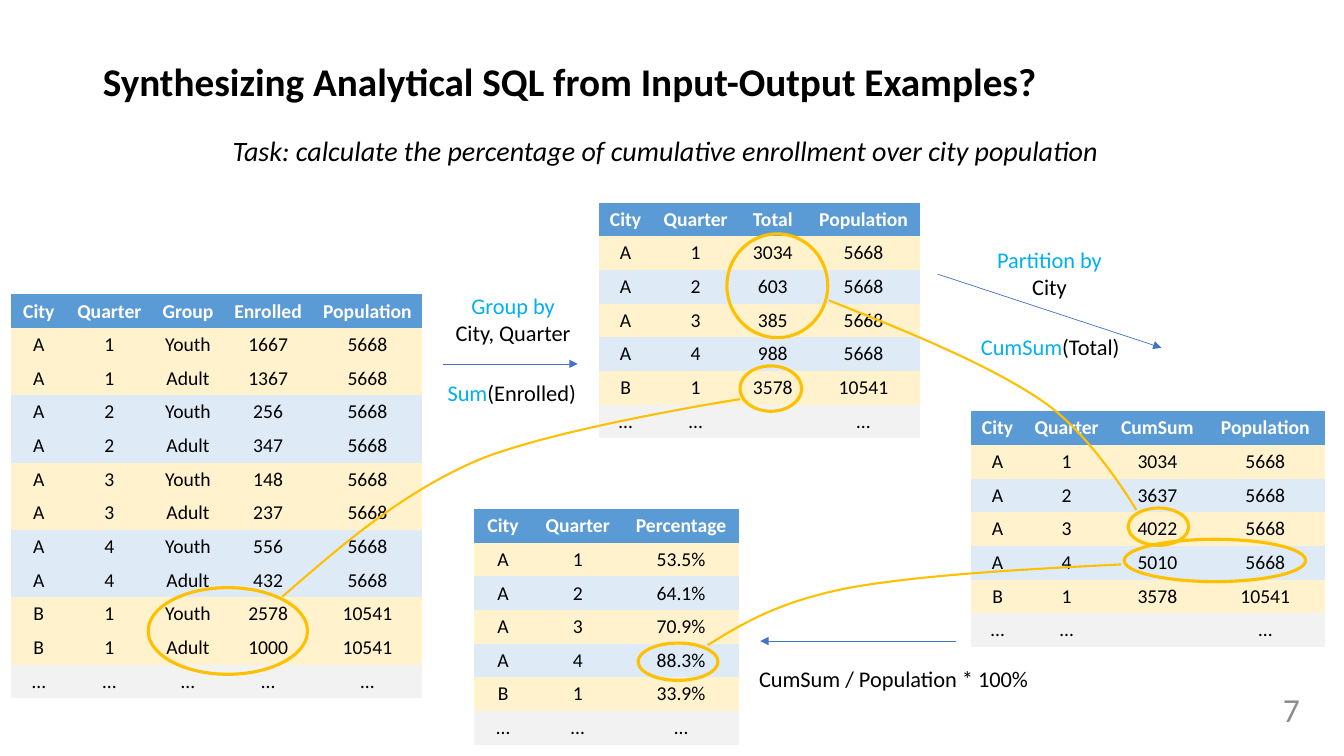
from pptx import Presentation
from pptx import util as u
from pptx.dml.color import RGBColor
from pptx.enum import shapes, text
from pptx.oxml import ns
from lxml import etree

BLACK = RGBColor(0x00, 0x00, 0x00)
WHITE = RGBColor(0xFF, 0xFF, 0xFF)
GRAY = RGBColor(0x8C, 0x8C, 0x8C)
HEADER = RGBColor(0x5B, 0x9B, 0xD5)
CREAM = RGBColor(0xFF, 0xF2, 0xCC)
PALE_BLUE = RGBColor(0xDE, 0xEB, 0xF7)
PALE_GRAY = RGBColor(0xF2, 0xF2, 0xF2)
KEYWORD = RGBColor(0x00, 0xB0, 0xF0)
ARROW = RGBColor(0x44, 0x72, 0xC4)
GOLD = RGBColor(0xFF, 0xC0, 0x00)

LEFT, CENTER, RIGHT = text.PP_ALIGN.LEFT, text.PP_ALIGN.CENTER, text.PP_ALIGN.RIGHT
NO_GRID_STYLE = "{2D5ABB26-0587-4C30-8999-92F81FD0307C}"


class Page:
    font = "Calibri"
    row_height = u.Inches(0.33)
    table_size = 14

    def __init__(self, deck):
        self.slide = deck.slides.add_slide(deck.slide_layouts[5])
        self.items = self.slide.shapes

    def format(self, span, size, color, bold=False, italic=False):
        span.font.name, span.font.size = self.font, u.Pt(size)
        span.font.bold, span.font.italic = bold, italic
        span.font.color.rgb = color

    def title(self, wording, left, top, width, height):
        box = self.items.title
        box.left, box.top = u.Inches(left), u.Inches(top)
        box.width, box.height = u.Inches(width), u.Inches(height)
        box.text_frame.text = wording
        box.text_frame.vertical_anchor = text.MSO_ANCHOR.MIDDLE
        para = box.text_frame.paragraphs[0]
        para.alignment, para.line_spacing = LEFT, 0.9
        self.format(para.runs[0], 28, BLACK, bold=True)

    def label(self, lines, left, top, width, height, size=16, align=LEFT,
              wrap=False, italic=False):
        """Each line is a list of (wording, colour) spans."""
        box = self.items.add_textbox(u.Inches(left), u.Inches(top),
                                     u.Inches(width), u.Inches(height))
        frame = box.text_frame
        frame.word_wrap = wrap
        for number, spans in enumerate(lines):
            para = frame.add_paragraph() if number else frame.paragraphs[0]
            para.alignment = align
            for wording, color in spans:
                span = para.add_run()
                span.text = wording
                self.format(span, size, color, italic=italic)
        return box

    def table(self, left, top, widths, lines):
        """The first line is the header; the band changes with each city and quarter."""
        rows = [line.split(",") for line in lines]
        frame = self.items.add_table(len(rows), len(widths), u.Inches(left), u.Inches(top),
                                     u.Inches(sum(widths)), self.row_height * len(rows))
        grid = frame.table
        frame._element.find(".//" + ns.qn("a:tableStyleId")).text = NO_GRID_STYLE
        for column, width in zip(grid.columns, widths):
            column.width = u.Inches(width)
        band, group = PALE_BLUE, None
        for number, values in enumerate(rows):
            grid.rows[number].height = self.row_height
            if number == 0:
                fill = HEADER
            elif values[0] == "…":
                fill = PALE_GRAY
            else:
                if values[:2] != group:
                    band = CREAM if band == PALE_BLUE else PALE_BLUE
                group, fill = values[:2], band
            for column, value in enumerate(values):
                self.fill_cell(grid.cell(number, column), value, fill, number == 0)

    def fill_cell(self, cell, value, fill, is_header):
        cell.fill.solid()
        cell.fill.fore_color.rgb = fill
        cell.margin_left = cell.margin_right = u.Inches(0.05)
        para = cell.text_frame.paragraphs[0]
        para.text = value
        para.alignment = CENTER
        for span in para.runs:
            self.format(span, self.table_size, WHITE if is_header else BLACK, bold=is_header)
        if not value:
            etree.SubElement(para._p, ns.qn("a:endParaRPr"), sz=str(self.table_size * 100))

    def arrow(self, *ends):
        line = self.items.add_connector(shapes.MSO_CONNECTOR.STRAIGHT,
                                        *(u.Inches(end) for end in ends))
        line.line.color.rgb, line.line.width = ARROW, u.Pt(0.5)
        etree.SubElement(line.line._get_or_add_ln(), ns.qn("a:tailEnd"), type="triangle")
        etree.SubElement(line._element.spPr, ns.qn("a:effectLst"))

    def outline(self, shape, width):
        shape.shadow.inherit = False
        shape.fill.background()
        shape.line.color.rgb, shape.line.width = GOLD, u.Pt(width)

    def ring(self, left, top, width, height):
        self.outline(self.items.add_shape(
            shapes.MSO_SHAPE.OVAL, u.Inches(left), u.Inches(top),
            u.Inches(width), u.Inches(height)), 2.25)

    def curve(self, *points):
        """A start point, then two control points and an end for each Bézier arc."""
        start, *others = [(u.Inches(x), u.Inches(y)) for x, y in points]
        builder = self.items.build_freeform(*start)
        builder.add_line_segments(others, close=False)
        shape = builder.convert_to_shape()
        steps = shape._element.findall(".//" + ns.qn("a:lnTo"))
        for first in range(0, len(steps), 3):
            arc = etree.Element(ns.qn("a:cubicBezTo"))
            steps[first].addprevious(arc)
            for step in steps[first:first + 3]:
                arc.append(step[0])
                step.getparent().remove(step)
        self.outline(shape, 1.5)


def main():
    deck = Presentation()
    deck.slide_width, deck.slide_height = u.Inches(13.33), u.Inches(7.5)
    page = Page(deck)

    # Heading, task and page number
    page.title("Synthesizing Analytical SQL from Input-Output Examples?", 0.92, 0.4, 11.39, 0.87)
    task = "Task: calculate the percentage of cumulative enrollment over city population"
    page.label([[(task, BLACK)]], 2.21, 1.28, 8.91, 0.44, size=20, wrap=True, italic=True)
    number = page.label([[("7", GRAY)]], 11.12, 6.83, 1.87, 0.4, size=24, align=RIGHT, wrap=True)
    number.text_frame.vertical_anchor = text.MSO_ANCHOR.MIDDLE

    # Input, grouped, cumulative and result tables
    page.table(0.11, 2.92, [0.55, 0.85, 0.71, 0.88, 1.09], [
        "City,Quarter,Group,Enrolled,Population",
        "A,1,Youth,1667,5668", "A,1,Adult,1367,5668",
        "A,2,Youth,256,5668", "A,2,Adult,347,5668",
        "A,3,Youth,148,5668", "A,3,Adult,237,5668",
        "A,4,Youth,556,5668", "A,4,Adult,432,5668",
        "B,1,Youth,2578,10541", "B,1,Adult,1000,10541", "…,…,…,…,…"])
    page.table(4.7, 5.05, [0.58, 0.9, 1.15], [
        "City,Quarter,Percentage", "A,1,53.5%", "A,2,64.1%", "A,3,70.9%",
        "A,4,88.3%", "B,1,33.9%", "…,…,…"])
    page.table(5.94, 2.01, [0.53, 0.86, 0.67, 1.13], [
        "City,Quarter,Total,Population", "A,1,3034,5668", "A,2,603,5668",
        "A,3,385,5668", "A,4,988,5668", "B,1,3578,10541", "…,…,,…"])
    page.table(9.63, 4.08, [0.53, 0.84, 0.96, 1.18], [
        "City,Quarter,CumSum,Population", "A,1,3034,5668", "A,2,3637,5668",
        "A,3,4022,5668", "A,4,5010,5668", "B,1,3578,10541", "…,…,,…"])

    # Steps between the tables
    page.arrow(4.39, 3.61, 5.73, 3.61)
    page.label([[("Group by", KEYWORD)], [("City, Quarter", BLACK)]],
               4.41, 2.85, 1.36, 0.64, align=CENTER)
    page.label([[("Sum", KEYWORD), ("(Enrolled)", BLACK)]], 4.34, 3.71, 1.49, 0.37)
    page.arrow(9.3, 2.72, 11.52, 3.45)
    page.label([[("Partition by", KEYWORD)], [("City", BLACK)]],
               9.78, 2.39, 1.26, 0.64, align=CENTER)
    page.label([[("CumSum", KEYWORD), ("(Total)", BLACK)]], 9.63, 3.26, 1.59, 0.37)
    page.arrow(9.48, 6.36, 7.54, 6.36)
    page.label([[("CumSum / Population * 100%", BLACK)]], 7.43, 6.55, 2.97, 0.37, wrap=True)

    # Rings around the values and curves that link them
    page.ring(1.47, 5.83, 1.58, 0.86)
    page.ring(7.34, 3.63, 0.61, 0.45)
    page.curve((2.8, 5.92), (3.39, 5.41), (3.97, 4.9), (4.73, 4.57),
               (5.49, 4.25), (7.34, 3.96), (7.34, 3.96))
    page.ring(7.21, 2.32, 1, 1.03)
    page.ring(11.19, 5.04, 0.6, 0.37)
    page.curve((8.22, 2.98), (9.03, 3.3), (9.83, 3.63), (10.34, 3.98),
               (10.84, 4.32), (11.27, 5.06), (11.27, 5.06))
    page.ring(11.15, 5.35, 1.8, 0.42)
    page.ring(6.33, 6.38, 0.79, 0.37)
    page.curve((11.12, 5.6), (10.09, 5.65), (9.07, 5.71), (8.38, 5.84),
               (7.7, 5.98), (7.36, 6.19), (7.02, 6.4))

    deck.save("out.pptx")


if __name__ == "__main__":
    main()
